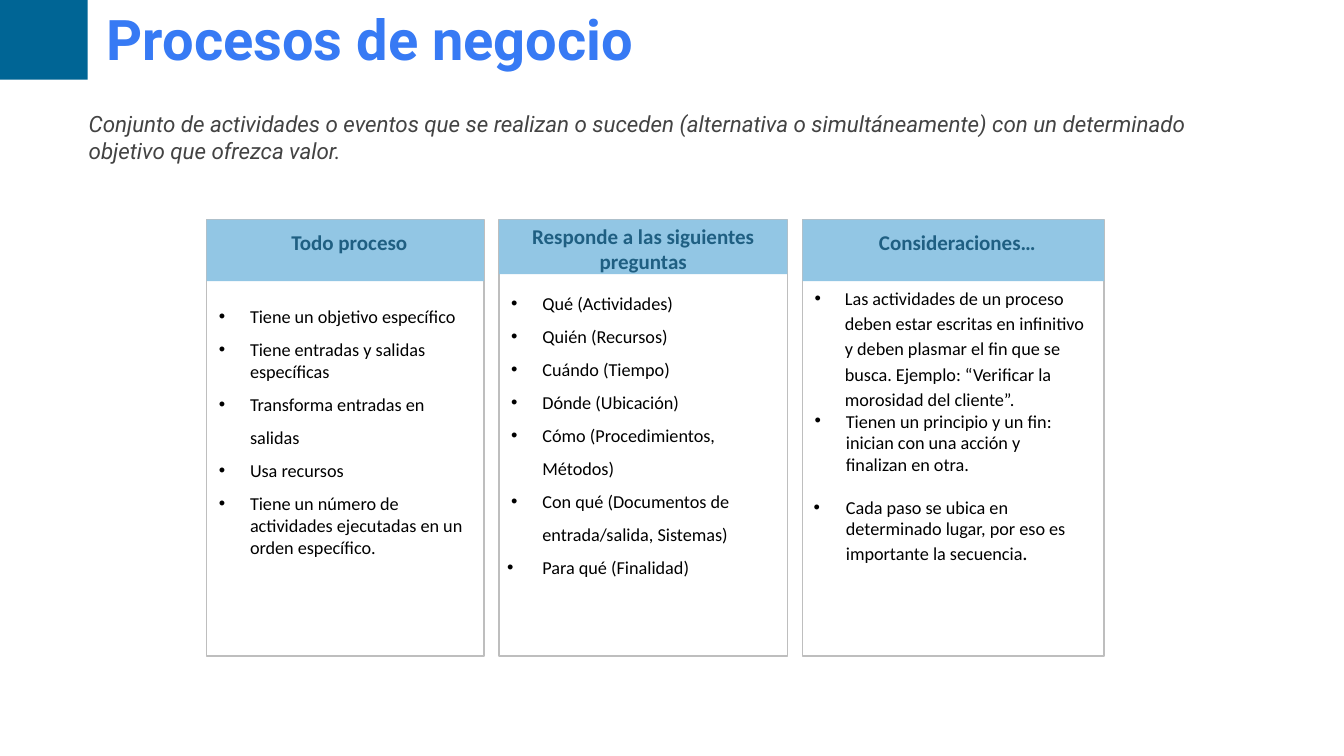
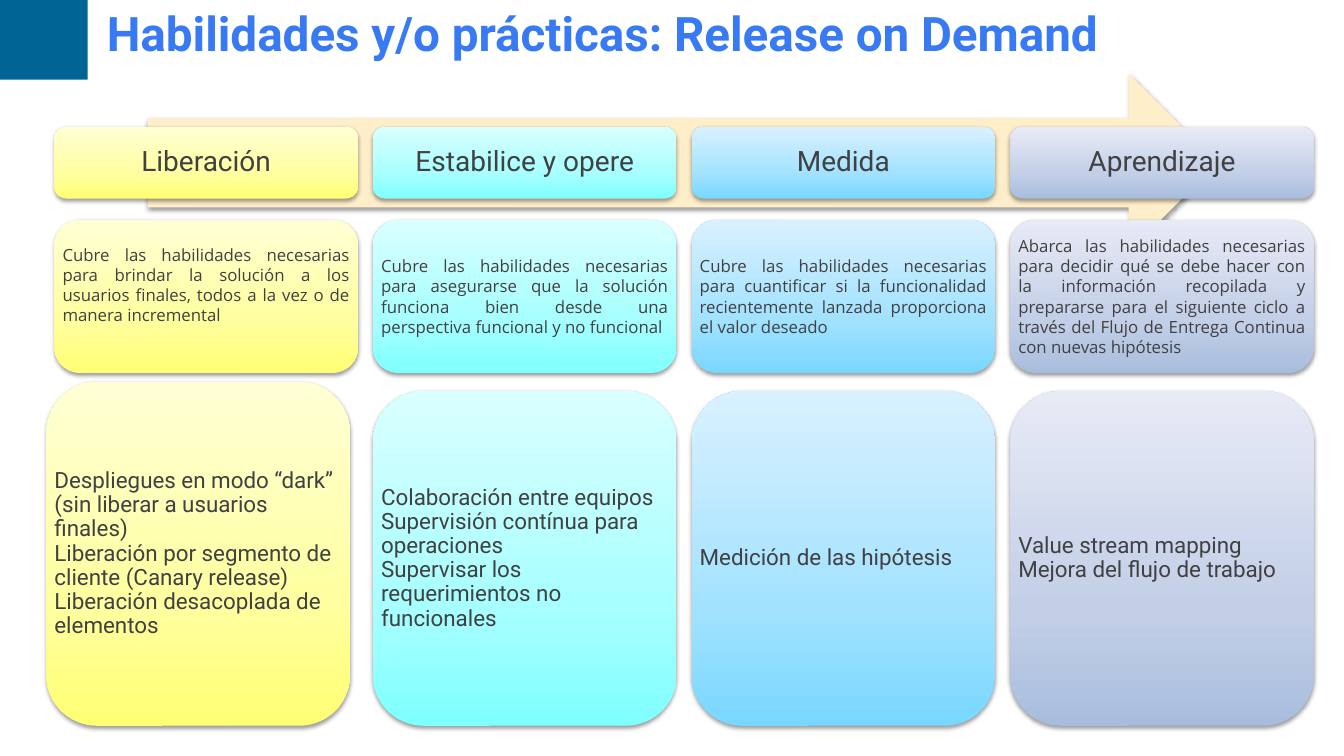
from lxml import etree
from pptx import Presentation
from pptx.dml.color import RGBColor
from pptx.enum.shapes import MSO_SHAPE
from pptx.enum.text import MSO_ANCHOR, PP_ALIGN
from pptx.oxml.ns import qn
from pptx.util import Inches, Pt

RECTANGLE = MSO_SHAPE.RECTANGLE
ROUNDED = MSO_SHAPE.ROUNDED_RECTANGLE
ARROW = MSO_SHAPE.RIGHT_ARROW
TOP, MIDDLE = MSO_ANCHOR.TOP, MSO_ANCHOR.MIDDLE
LEFT, CENTER, JUSTIFY = PP_ALIGN.LEFT, PP_ALIGN.CENTER, PP_ALIGN.JUSTIFY

BAND, TITLE, BODY, GRAY = "006595", "377AF4", "434343", "414042"
BLACK, HEADER, HEADER_TEXT, BORDER = "000000", "92C6E4", "1F5F82", "BEBEBE"
ARROW_FILL = "FFEECA"


def color(code):
    return RGBColor.from_string(code)


def line(text, **options):
    return text, options


def bullet(text, hang=0.31, indent=0.43, **options):
    return line(text, hang=hang, indent=indent, **options)


class Deck:
    """Holds the shared style and the current slide."""

    def __init__(self):
        self.deck = Presentation()
        self.deck.slide_width, self.deck.slide_height = Inches(13.33), Inches(7.5)

    def page(self, title, size, height):
        self.shapes = self.deck.slides.add_slide(self.deck.slide_layouts[6]).shapes
        self.shape(RECTANGLE, (0, 0, 0.87, 0.79), BAND)
        self.text((0.92, -0.03, 12.4, height), [line(title)], size, "Roboto", TITLE,
                  bold=True, insets=(0.14, 0.07, 0.13, 0.07))

    def shape(self, kind, rect, fill=None, border=None, shadow=False):
        box = self.shapes.add_shape(kind, *map(Inches, rect))
        box.shadow.inherit = False
        if isinstance(fill, tuple):
            self.gradient(box, fill)
        elif fill:
            box.fill.solid()
            box.fill.fore_color.rgb = color(fill)
        else:
            box.fill.background()
        if border:
            box.line.color.rgb = color(border)
            box.line.width = Pt(0.96)
        else:
            box.line.fill.background()
        if shadow:
            effects = box.element.spPr.find(qn("a:effectLst"))
            outer = etree.SubElement(effects, qn("a:outerShdw"), blurRad=str(Pt(3.1)),
                                     dist=str(Pt(1.6)), dir="5400000", rotWithShape="0")
            tint = etree.SubElement(outer, qn("a:srgbClr"), val=BLACK)
            etree.SubElement(tint, qn("a:alpha"), val="38000")
        return box

    def gradient(self, box, codes):
        box.fill.gradient()
        box.fill.gradient_angle = 90
        stops = box.element.spPr.find(qn("a:gradFill")).find(qn("a:gsLst"))
        for stop in list(stops):
            stops.remove(stop)
        for position, code in zip((0, 35000, 100000), codes):
            stop = etree.SubElement(stops, qn("a:gs"), pos=str(position))
            etree.SubElement(stop, qn("a:srgbClr"), val=code)

    def text(self, rect, lines, size, font, code, bold=False, italic=False,
             align=LEFT, anchor=TOP, insets=(0, 0, 0, 0), spacing=None):
        frame = self.shapes.add_textbox(*map(Inches, rect)).text_frame
        frame.word_wrap = True
        frame.vertical_anchor = anchor
        (frame.margin_left, frame.margin_top,
         frame.margin_right, frame.margin_bottom) = map(Inches, insets)
        for index, (words, options) in enumerate(lines):
            para = frame.paragraphs[0] if index == 0 else frame.add_paragraph()
            self.indent(para, options.get("indent", 0), options.get("hang", 0))
            para.alignment = align
            para.line_spacing = options.get("spacing", spacing)
            if "before" in options:
                para.space_before = Pt(options["before"])
            for row, part in enumerate(words.split("\n")):
                if row:
                    para.add_line_break()
                self.span(para, part, size, font, code, bold, italic)
            if "ending" in options:
                self.span(para, options["ending"], 15, font, code, bold, italic)

    def indent(self, para, indent, hang):
        if not indent:
            return
        props = para._p.get_or_add_pPr()
        props.set("marL", str(Inches(indent)))
        props.set("indent", str(-Inches(hang)))
        if hang:
            etree.SubElement(props, qn("a:buFont"), typeface="Arial")
            etree.SubElement(props, qn("a:buChar"), char="•")

    def span(self, para, words, size, font, code, bold, italic):
        span = para.add_run()
        span.text = words
        span.font.size, span.font.name = Pt(size), font
        span.font.bold, span.font.italic = bold, italic
        span.font.color.rgb = color(code)

    def panel(self, left, width, header, header_height, header_insets, items,
              items_top, items_inset, items_width):
        top = 2.18
        self.shape(RECTANGLE, (left, top, width, 4.33), border=BORDER)
        header_rect = (left, top, width, header_height)
        self.shape(RECTANGLE, header_rect, HEADER)
        self.text(header_rect, header, 15, "Calibri", HEADER_TEXT, bold=True,
                  align=CENTER, insets=header_insets)
        self.text((left, items_top, items_width, 2.8), items, 13, "Calibri", BLACK,
                  insets=(0, items_inset, 0, 0))

    def card(self, rect, fill, lines, size, font, align, spacing=None, bottom=0.04):
        self.shape(ROUNDED, rect, fill, shadow=True)
        self.text(rect, lines, size, font, GRAY, align=align, anchor=MIDDLE,
                  insets=(0.08, 0.04, 0.08, bottom), spacing=spacing)


def business_processes(deck):
    deck.page("Procesos de negocio", 40, 0.81)
    deck.text((0.87, 1.08, 11.45, 0.55), [line(
        "Conjunto de actividades o eventos que se realizan o suceden (alternativa o "
        "simultáneamente) con un determinado objetivo que ofrezca valor.")],
        16, "Roboto", BODY, italic=True, insets=(0.01, 0.01, 0, 0))
    shifted, plain = (0.08, 0.1, 0, 0), (0, 0, 0, 0)
    panels = [
        (2.75, [line("Todo proceso")], 0.61, shifted, [
            bullet("Tiene un objetivo específico"),
            bullet("Tiene entradas y salidas específicas", before=8),
            bullet("Transforma entradas en", before=8),
            line("salidas", indent=0.43, before=8),
            bullet("Usa recursos", before=8),
            bullet("Tiene un número de actividades ejecutadas en un orden específico.",
                   before=8),
        ], 2.9, 0.13, 2.74),
        (2.86, [line("Responde a las siguientes", spacing=1.14), line("preguntas")],
         0.54, plain, [
            bullet("Qué (Actividades)"),
            bullet("Quién (Recursos)", before=8),
            bullet("Cuándo (Tiempo)", before=8),
            bullet("Dónde (Ubicación)", before=8),
            bullet("Cómo (Procedimientos,", before=8),
            line("Métodos)", indent=0.43, before=8),
            bullet("Con qué (Documentos de entrada/salida, Sistemas)", spacing=1.5),
            bullet("Para qué (Finalidad)", hang=0.35, spacing=1.5),
        ], 2.77, 0.13, 2.85),
        (2.99, [line("Consideraciones…")], 0.61, shifted, [
            bullet("Las actividades de un proceso deben estar escritas en infinitivo y "
                   "deben plasmar el fin que se busca. Ejemplo: “Verificar la morosidad "
                   "del cliente”.", hang=0.3, indent=0.42, spacing=1.15),
            bullet("Tienen un principio y un fin: inician con una acción y\n"
                   "finalizan en otra."),
            bullet("Cada paso se ubica en determinado lugar, por eso es importante la "
                   "secuencia", hang=0.32, before=14.6, ending="."),
        ], 2.81, 0.01, 2.85),
    ]
    left = 2.05
    for width, *content in panels:
        deck.panel(left, width, *content)
        left += width + 0.15


def release_on_demand(deck):
    deck.page("Habilidades y/o prácticas: Release on Demand", 34, 0.71)
    deck.shape(ARROW, (1.47, 0.73, 10.61, 1.77), ARROW_FILL, shadow=True)
    stages = [
        ("Liberación", ("FFFF74", "FFFF9F", "FFFFD6"),
         "Cubre las habilidades necesarias para brindar la solución a los usuarios "
         "finales, todos a la vez o de manera incremental",
         ["Despliegues en modo “dark” (sin liberar a usuarios finales)",
          "Liberación por segmento de cliente (Canary release)",
          "Liberación desacoplada de elementos"]),
        ("Estabilice y opere", ("80FFFF", "A7FFFF", "DAFFFF"),
         "Cubre las habilidades necesarias para asegurarse que la solución funciona "
         "bien desde una perspectiva funcional y no funcional",
         ["Colaboración entre equipos", "Supervisión contínua para operaciones",
          "Supervisar los requerimientos no funcionales"]),
        ("Medida", ("79D7FF", "A2E2FF", "D9F1FF"),
         "Cubre las habilidades necesarias para cuantificar si la funcionalidad "
         "recientemente lanzada proporciona el valor deseado",
         ["Medición de las hipótesis"]),
        ("Aprendizaje", ("A8BDDD", "C3CFE7", "E8EBF6"),
         "Abarca las habilidades necesarias para decidir qué se debe hacer con la "
         "información recopilada y prepararse para el siguiente ciclo a través del "
         "Flujo de Entrega Continua con nuevas hipótesis",
         ["Value stream mapping", "Mejora del flujo de trabajo"]),
    ]
    width, pitch = 3.01, 3.16
    for index, (name, fill, purpose, practices) in enumerate(stages):
        left = 0.54 + index * pitch
        first = index == 0
        deck.card((left, 1.26, width, 0.71), fill, [line(name)], 20, "Roboto", CENTER, 0.9)
        deck.card((left, 2.18, width, 1.52), fill, [line(purpose)], 12, "Open Sans",
                  JUSTIFY, bottom=0.27 if first else 0.04)
        practice_rect = (0.46, 3.79, width, 3.41) if first else (left, 3.88, width, 3.32)
        deck.card(practice_rect, fill, [line(practice) for practice in practices],
                  16, "Roboto", LEFT, 0.9)


def main():
    deck = Deck()
    business_processes(deck)
    release_on_demand(deck)
    deck.deck.save("out.pptx")


if __name__ == "__main__":
    main()
